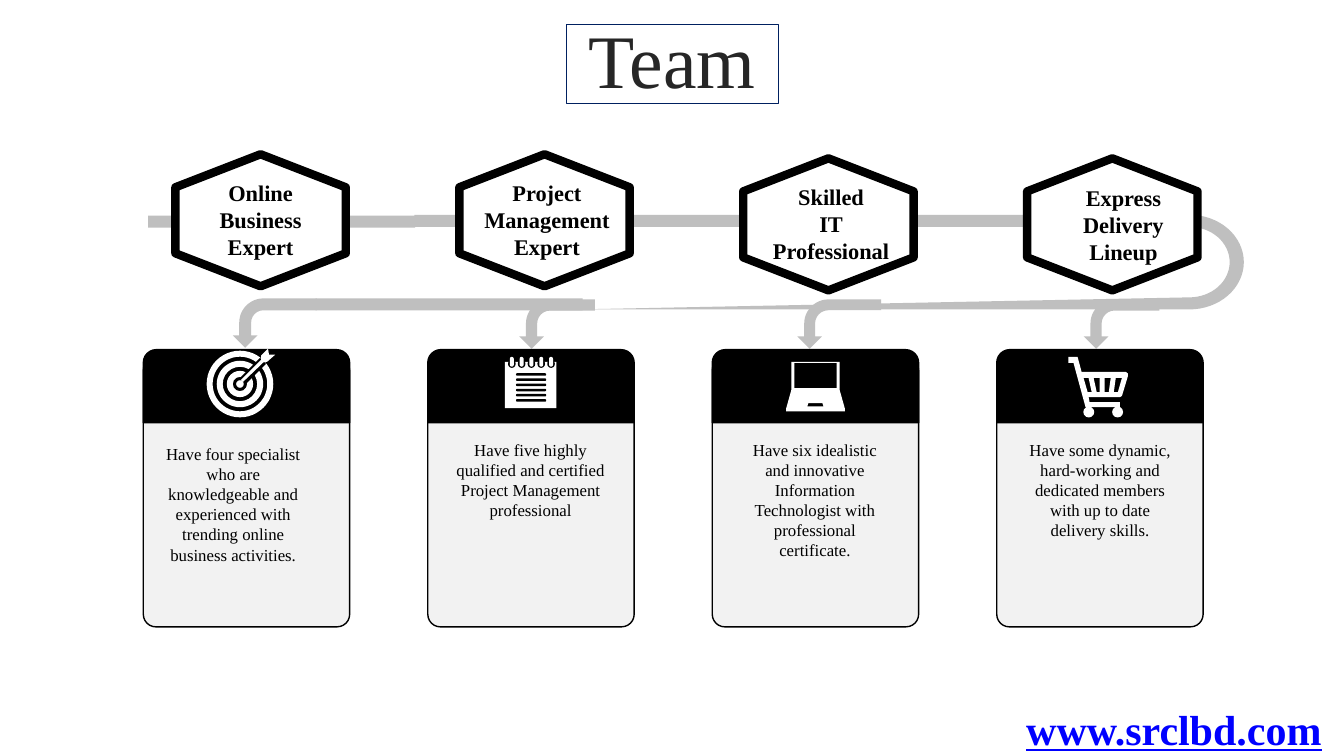
from dataclasses import dataclass
from math import cos, pi, sin

from lxml.etree import SubElement
from pptx import Presentation
from pptx.dml.color import RGBColor
from pptx.enum.shapes import MSO_CONNECTOR, MSO_SHAPE
from pptx.enum.text import MSO_ANCHOR, PP_ALIGN
from pptx.oxml.ns import qn
from pptx.shapes.autoshape import Shape
from pptx.shapes.shapetree import SlideShapes
from pptx.util import Pt

BLACK = RGBColor(0x00, 0x00, 0x00)
WHITE = RGBColor(0xFF, 0xFF, 0xFF)
GREY = RGBColor(0xBF, 0xBF, 0xBF)
PALE = RGBColor(0xF2, 0xF2, 0xF2)
NAVY = RGBColor(0x00, 0x20, 0x60)
BLUE = RGBColor(0x00, 0x00, 0xFF)
DARK = RGBColor(0x26, 0x26, 0x26)

FACE = "Times New Roman"
TITLE = {"name": FACE, "size": Pt(54)}
LABEL = {"name": FACE, "size": Pt(16), "bold": True}
BODY = {"name": FACE, "size": Pt(12)}
SITE = {"name": FACE, "size": Pt(30), "bold": True, "underline": True}

Point = tuple[float, float]
Box = tuple[float, float, float, float]


@dataclass
class Member:
    label: str
    label_at: Point
    hex_top: float
    body: str
    body_at: Point
    arrow_top: float
    arrow_size: float
    arrow_adj: float


TEAM = [
    Member("Online Business Expert", (125.3, 124.6), 96.5,
           "Have four specialist who are knowledgeable and experienced with "
           "trending online business activities.",
           (105.8, 313.2), 200.9, 59.8, 0.241),
    Member("Project Management Expert", (329.8, 124.6), 96.5,
           "Have five highly qualified and certified Project Management professional",
           (318.2, 310.3), 204.5, 54, 0.227),
    Member("Skilled\nIT\nProfessional", (532.8, 127.4), 99.4,
           "Have six idealistic and innovative Information Technologist with "
           "professional certificate.",
           (521.3, 310.3), 201.6, 59.8, 0.22),
    Member("Express Delivery Lineup", (741.6, 128.2), 99.4,
           "Have some dynamic, hard-working and dedicated members with up to "
           "date delivery skills.",
           (725, 310.3), 204.5, 54, 0.226),
]

LAPTOP = [
    [(3.6, 0), (38.2, 0), (38.2, 20.2), (41.8, 33.1), (41.8, 35.3),
     (0, 35.3), (0, 33.1), (3.6, 20.2)],
    [(5.8, 0.7), (5.8, 18.7), (36, 18.7), (36, 0.7)],
    [(15.8, 29.5), (15.1, 31.7), (26.6, 31.7), (25.9, 29.5)],
]
CART = [
    [(0, 0), (6.5, 0), (9.4, 10.8), (41, 10.8), (42.5, 12), (42.5, 13.7),
     (38.2, 28), (36.7, 28.8), (14.4, 28.8), (15.1, 32.4), (36.7, 32.4),
     (36.7, 36), (12.2, 36), (3.6, 4.3), (0, 4.3)],
    [(33.8, 15.1), (32.4, 25.2), (35.3, 25.2), (38.2, 15.1)],
    [(25.9, 15.1), (25.9, 25.2), (28.8, 25.2), (30.2, 15.1)],
    [(18, 15.1), (20.2, 25.2), (22.3, 25.2), (22.3, 15.1)],
    [(10.8, 15.1), (13.7, 25.2), (16.6, 25.2), (14.4, 15.1)],
]
DART = [[(43.9, 0), (44.6, 4.3), (49, 4.3), (43.2, 9.4), (41, 9.4),
         (25.9, 23.8), (24.5, 22.3), (38.9, 7.9), (38.9, 5)]]


def paint(shape: Shape, fill: RGBColor | None, line: RGBColor | None = None,
          width: float = 1) -> Shape:
    shape.shadow.inherit = False
    if fill is None:
        shape.fill.background()
    else:
        shape.fill.solid()
        shape.fill.fore_color.rgb = fill
    if line is None:
        shape.line.fill.background()
    else:
        shape.line.color.rgb = line
        shape.line.width = Pt(width)
    return shape


def put(tree: SlideShapes, kind: MSO_SHAPE, box: Box, fill: RGBColor | None,
        line: RGBColor | None = None, width: float = 1,
        adjust: tuple[float, ...] = ()) -> Shape:
    shape = tree.add_shape(kind, *map(Pt, box))
    for rank, value in enumerate(adjust):
        shape.adjustments[rank] = value
    return paint(shape, fill, line, width)


def trace(tree: SlideShapes, loops: list[list[Point]], at: Point,
          fill: RGBColor) -> Shape:
    """Fill closed outlines placed from a corner; inner loops are holes."""
    loops = [[(Pt(at[0] + x), Pt(at[1] + y)) for x, y in loop] for loop in loops]
    pen = tree.build_freeform(*loops[0][0], scale=1.0)
    pen.add_line_segments(loops[0][1:], close=True)
    for loop in loops[1:]:
        pen.move_to(*loop[0])
        pen.add_line_segments(loop[1:], close=True)
    return paint(pen.convert_to_shape(), fill)


def write(shape: Shape, text: str, style: dict, ink: RGBColor,
          align: PP_ALIGN = PP_ALIGN.CENTER) -> None:
    frame = shape.text_frame
    frame.word_wrap = True
    frame.text = text
    for para in frame.paragraphs:
        para.alignment = align
        for key, value in style.items():
            setattr(para.font, key, value)
        para.font.color.rgb = ink


def note(tree: SlideShapes, box: Box, text: str, style: dict,
         ink: RGBColor = BLACK, align: PP_ALIGN = PP_ALIGN.CENTER) -> None:
    write(tree.add_textbox(*map(Pt, box)), text, style, ink, align)


def bend(mid: Point, wide: float, high: float) -> list[Point]:
    """Right half of an ellipse, from top to bottom."""
    turns = [pi * (step / 32 - 0.5) for step in range(33)]
    return [(mid[0] + wide * cos(turn), mid[1] + high * sin(turn)) for turn in turns]


def draw_road(tree: SlideShapes) -> None:
    for left, top in ((105.8, 154.1), (225.4, 213.1)):
        put(tree, MSO_SHAPE.RECTANGLE, (left, top, 190.8, 8.6), GREY)
    mid = (849.6, 187.2)
    loop = [(296, 153.4), *bend(mid, 38.9, 33.8), (411.8, 221),
            *reversed(bend(mid, 28.8, 25.2)), (296, 162)]
    trace(tree, [loop], (0, 0), GREY)


def draw_member(tree: SlideShapes, rank: int, who: Member) -> None:
    arrow = put(tree, MSO_SHAPE.BENT_ARROW,
                (178.6 + 201.6 * rank, who.arrow_top, 35.3, who.arrow_size), GREY,
                adjust=(who.arrow_adj, 0.25, 0.25, 0.489))
    arrow.rotation = 270
    arrow.element.spPr.find(qn("a:xfrm")).set("flipH", "1")
    badge = put(tree, MSO_SHAPE.HEXAGON,
                (139 + 202.8 * rank, who.hex_top, 94.3, 121.7), WHITE, BLACK, 6)
    badge.rotation = 270
    left = 102.4 + 203.2 * rank
    put(tree, MSO_SHAPE.ROUNDED_RECTANGLE, (left, 255.6, 147.4, 192.2),
        PALE, BLACK, adjust=(0.061,))
    put(tree, MSO_SHAPE.ROUND_2_SAME_RECTANGLE, (left, 249.8, 147.4, 52.2),
        BLACK, BLACK, adjust=(0.178, 0))
    note(tree, (*who.label_at, 121.7, 65.5), who.label, LABEL)
    note(tree, (*who.body_at, 121.7, 94.3), who.body, BODY)


def draw_target(tree: SlideShapes) -> None:
    x, y = 171.4, 274.3
    for size in (23.8, 16.6, 9.4):
        put(tree, MSO_SHAPE.DONUT, (x - size, y - size, 2 * size, 2 * size),
            WHITE, adjust=(2.15 / size,))
    gap = tree.add_connector(MSO_CONNECTOR.STRAIGHT, Pt(x), Pt(y), Pt(x + 16.5), Pt(y - 16.5))
    gap.line.color.rgb = BLACK
    gap.line.width = Pt(6)
    SubElement(gap.element.spPr, qn("a:effectLst"))
    put(tree, MSO_SHAPE.OVAL, (x - 2.7, y - 2.7, 5.4, 5.4), WHITE)
    trace(tree, DART, (147.6, 249.1), WHITE)


def draw_pad(tree: SlideShapes) -> None:
    x, y = 360.7, 254.9
    put(tree, MSO_SHAPE.RECTANGLE, (x, y + 3.6, 36.7, 33.1), WHITE)
    for row in range(6):
        put(tree, MSO_SHAPE.ROUNDED_RECTANGLE, (x + 7.9, y + 11.7 + 3.7 * row, 21.6, 1.8),
            BLACK, adjust=(0.5,))
    for ring in range(5):
        left = x + 2.2 + 7 * ring
        for box, fill in (((left, y + 2, 5.4, 5.9), BLACK),
                          ((left + 1.3, y, 2.8, 7), WHITE)):
            put(tree, MSO_SHAPE.ROUNDED_RECTANGLE, box, fill, adjust=(0.5,))


def draw_cart(tree: SlideShapes) -> None:
    x, y = 763.2, 254.9
    trace(tree, CART, (x, y), WHITE)
    for left in (10.6, 31.2):
        put(tree, MSO_SHAPE.OVAL, (x + left, y + 35.5, 7.8, 7.8), WHITE)


def main() -> None:
    deck = Presentation()
    deck.slide_width, deck.slide_height = Pt(960), Pt(540)
    tree = deck.slides.add_slide(deck.slide_layouts[6]).shapes
    title = put(tree, MSO_SHAPE.RECTANGLE, (404.6, 17.3, 151.2, 56.9), None, NAVY, 0.75)
    write(title, "Team", TITLE, DARK)
    title.text_frame.vertical_anchor = MSO_ANCHOR.MIDDLE
    title.text_frame.paragraphs[0].line_spacing = 0.9
    draw_road(tree)
    for rank, who in enumerate(TEAM):
        draw_member(tree, rank, who)
    draw_target(tree)
    draw_pad(tree)
    trace(tree, LAPTOP, (561.6, 258.5), WHITE)
    draw_cart(tree)
    note(tree, (725.8, 499, 225.4, 43.9), "www.srclbd.com", SITE, BLUE, PP_ALIGN.RIGHT)
    deck.save("out.pptx")


if __name__ == "__main__":
    main()
